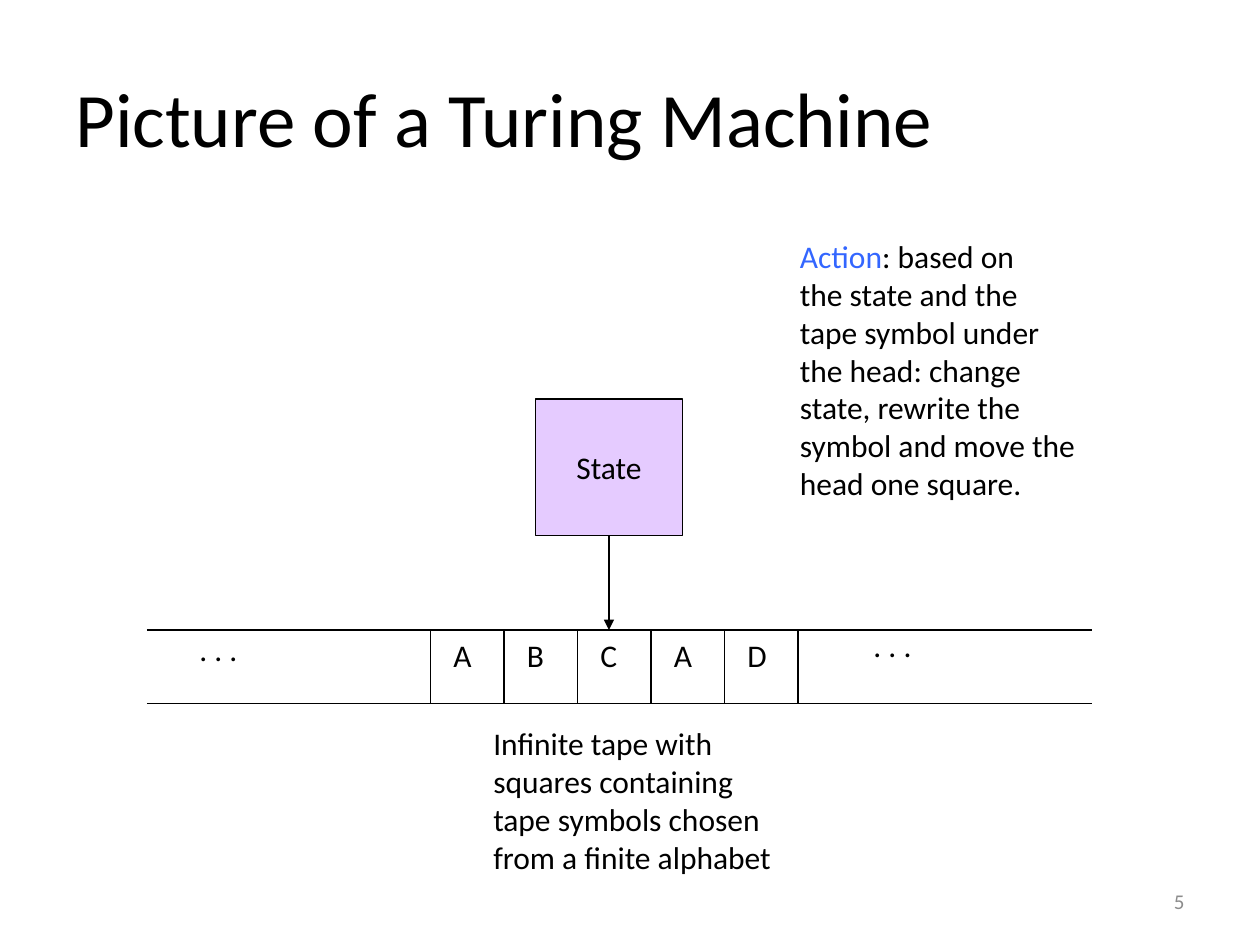
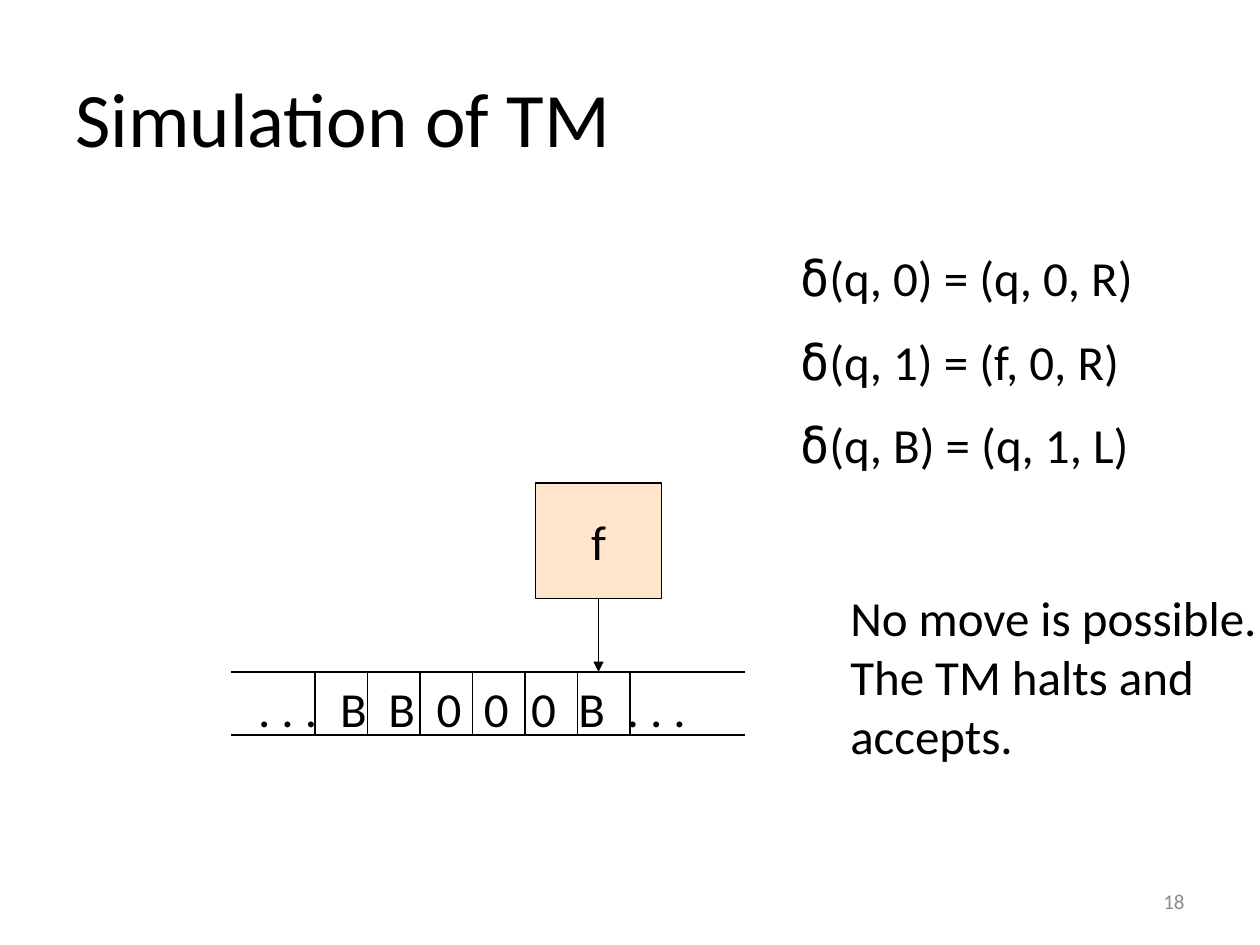
from pptx import Presentation, util as u
from pptx.dml.color import RGBColor
from pptx.enum import shapes, text
from pptx.oxml.ns import qn
from lxml import etree

PX = 7620  # 120 px to the inch
HUE = {"ink": "000000", "gray": "8C8C8C", "blue": "3366FF",
       "lilac": "CC99FF", "peach": "FFCC99"}
FONT = "Calibri"
GREEK = "DejaVu Sans Mono"
TOP, MID = text.MSO_ANCHOR.TOP, text.MSO_ANCHOR.MIDDLE
LEFT, RIGHT, CENTER = text.PP_ALIGN.LEFT, text.PP_ALIGN.RIGHT, text.PP_ALIGN.CENTER


def write(shape, paras, size, hue="ink", align=LEFT, anchor=TOP, gap=0, wrap=True):
    """Fill a shape with paragraphs; a run is a string or (string, changes)."""
    frame = shape.text_frame
    for key, val in {"word_wrap": wrap, "vertical_anchor": anchor}.items():
        setattr(frame, key, val)
    for i, runs in enumerate(paras):
        para = frame.add_paragraph() if i else frame.paragraphs[0]
        para.alignment = align
        if i and gap:
            para.space_before = u.Pt(gap)
        for item in [runs] if isinstance(runs, str) else runs:
            word, diff = (item, {}) if isinstance(item, str) else item
            run = para.add_run()
            run.text = word
            look = {"name": FONT, "size": u.Pt(size), "hue": hue, **diff}
            run.font.color.rgb = RGBColor.from_string(HUE[look.pop("hue")])
            for key, val in look.items():
                setattr(run.font, key, val)
    return frame


def rule(slide, *ends):
    """Draw a thin black line from x1, y1 to x2, y2."""
    line = slide.shapes.add_connector(shapes.MSO_CONNECTOR.STRAIGHT,
                                      *[n * PX for n in ends])
    line.line.width = u.Pt(0.75)
    line.line.color.rgb = RGBColor.from_string(HUE["ink"])
    etree.SubElement(line._element.spPr, qn("a:effectLst"))
    return line


# Each slide: tape edges, cell walls, state box and text boxes
cells = [((420 + 70 * i, 600, 52, 60), [c], {"size": 18})
         for i, c in enumerate("ABCAD")]
dots = [((x, y, 85, 60), [". . ."], {"size": 18}) for x, y in ((178, 594), (820, 590))]
delta = ("δ", {"name": GREEK})

pages = [
    {"title": "Picture of a Turing Machine", "num": "5",
     "tape": (140, 1040, 600, 670), "walls": range(410, 761, 70),
     "state": ("State", (510, 380, 140, 130), "lilac", 18),
     "notes": dots + cells + [
         ((458, 684, 404, 204),
          ["Infinite tape with", "squares containing", "tape symbols chosen",
           "from a finite alphabet"], {"size": 18}),
         ((750, 220, 404, 348),
          [[("Action", {"hue": "blue"}), ": based on"], "the state and the",
           "tape symbol under", "the head: change", "state, rewrite the",
           "symbol and move the", "head one square."], {"size": 18})]},
    {"title": "Simulation of TM", "num": "18",
     "tape": (220, 710, 640, 700), "walls": range(300, 601, 50),
     "state": ("f", (510, 460, 120, 110), "peach", 28),
     "notes": [
         ((750, 230, 380, 239),
          [[delta, "(q, 0) = (q, 0, R)"], [delta, "(q, 1) = (f, 0, R)"],
           [delta, "(q, B) = (q, 1, L)"]], {"size": 28, "gap": 14}),
         ((798, 554, 416, 181),
          ["No move is possible.", "The TM halts and", "accepts."], {"size": 28})],
     "row": ((234, 640, 436, 68), [". . .", *"BB000B", ". . ."],
             (78, 124, 170, 215, 260, 305, 351))},
]

deck = Presentation()
deck.slide_width, deck.slide_height = 1200 * PX, 900 * PX

for page in pages:
    slide = deck.slides.add_slide(deck.slide_layouts[6])

    # Title, page number and notes
    frames = [((60, 36, 1080, 150), [page["title"]], {"size": 44, "anchor": MID}),
              ((860, 834, 280, 48), [page["num"]],
               {"size": 12, "hue": "gray", "align": RIGHT, "anchor": MID})]
    for box, paras, look in frames + page["notes"]:
        write(slide.shapes.add_textbox(*[n * PX for n in box]), paras, **look)

    # Tape
    left, right, top, low = page["tape"]
    for y in (top, low):
        rule(slide, left, y, right, y)
    for x in page["walls"]:
        rule(slide, x, top, x, low)

    # Symbols set on tab stops
    if "row" in page:
        box, marks, stops = page["row"]
        frame = write(slide.shapes.add_textbox(*[n * PX for n in box]),
                      ["\t".join(marks)], 28)
        props = frame.paragraphs[0]._p.get_or_add_pPr()
        tabs = etree.SubElement(props, qn("a:tabLst"))
        for stop in stops:
            etree.SubElement(tabs, qn("a:tab"), pos=str(stop * PX), algn="l")

    # State box, half clear
    name, box, hue, size = page["state"]
    state = slide.shapes.add_shape(shapes.MSO_SHAPE.RECTANGLE, *[n * PX for n in box])
    state.shadow.inherit = False
    state.fill.solid()
    state.fill.fore_color.rgb = RGBColor.from_string(HUE[hue])
    tint = state._element.spPr.find(qn("a:solidFill"))[0]
    etree.SubElement(tint, qn("a:alpha"), val="50000")
    state.line.width = u.Pt(0.75)
    state.line.color.rgb = RGBColor.from_string(HUE["ink"])
    write(state, [name], size, align=CENTER, anchor=MID, wrap=False)

    # Head pointing at the tape
    x = box[0] + box[2] // 2
    head = rule(slide, x, box[1] + box[3], x, top)
    head.begin_connect(state, 2)
    etree.SubElement(head.line._get_or_add_ln(), qn("a:tailEnd"), type="triangle")

deck.save("out.pptx")
